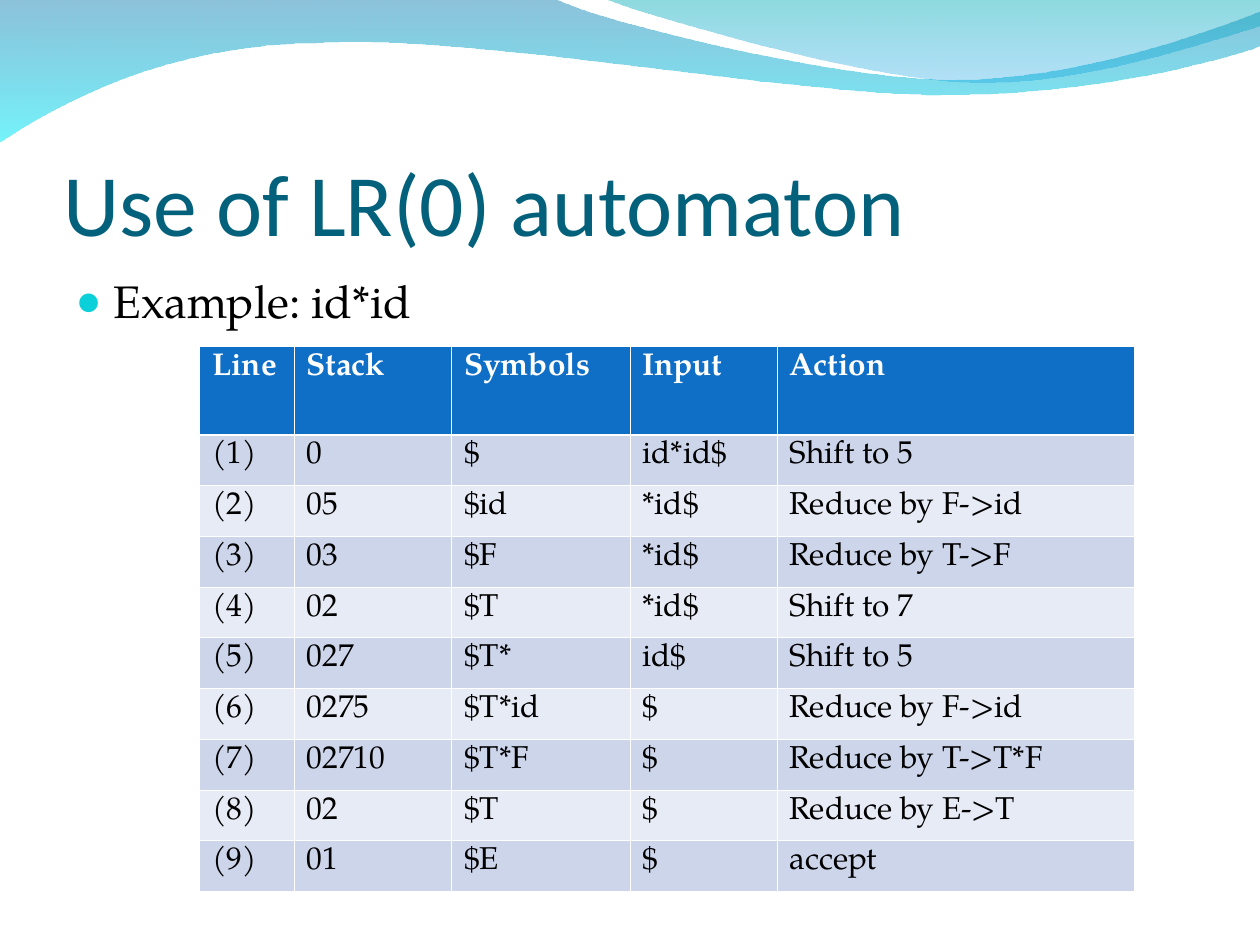
from dataclasses import dataclass
from typing import Any

import pptx
import pptx.dml.color
import pptx.enum.text
import pptx.oxml
import pptx.oxml.ns
import pptx.util

Inches, Pt = pptx.util.Inches, pptx.util.Pt
RGBColor = pptx.dml.color.RGBColor

WHITE = RGBColor(0xFF, 0xFF, 0xFF)
BLACK = RGBColor(0, 0, 0)
TITLE_TEAL = RGBColor(0x04, 0x61, 0x7B)
HEADER_BLUE = RGBColor(0x0F, 0x6F, 0xC6)
BAND_FILLS = (RGBColor(0xCC, 0xD5, 0xEA), RGBColor(0xE7, 0xEB, 0xF5))
BULLET_CYAN = RGBColor(0x0B, 0xD0, 0xD9)
WAVE_BLUE = RGBColor(0x00, 0x79, 0xAF)
WAVE_CYAN = RGBColor(0x00, 0xEB, 0xF8)
CREST_TEAL = RGBColor(0x00, 0xAD, 0xB6)
CREST_BLUE = RGBColor(0x00, 0x9B, 0xE5)

HEADING_FONT, BODY_FONT = "Calibri", "TeX Gyre Pagella"
SLIDE_WIDTH, SLIDE_HEIGHT = Inches(10), Inches(7.5)
GRID = Inches(1) / 12
UNITS_PER_INCH = 100
THIN_LINE, HEADER_LINE = Pt(0.45), Pt(1.47)

TABLE_LEFT, TABLE_TOP = 19, 33
COLUMN_SPANS = (9, 15, 17, 14, 34)
HEADER_HEIGHT, ROW_HEIGHT = Inches(0.7), Pt(29)
HEADINGS = ("Line", "Stack", "Symbols", "Input", "Action")
MOVES = (
    ("0", "$", "id*id$", "Shift to 5"),
    ("05", "$id", "*id$", "Reduce by F->id"),
    ("03", "$F", "*id$", "Reduce by T->F"),
    ("02", "$T", "*id$", "Shift to 7"),
    ("027", "$T*", "id$", "Shift to 5"),
    ("0275", "$T*id", "$", "Reduce by F->id"),
    ("02710", "$T*F", "$", "Reduce by T->T*F"),
    ("02", "$T", "$", "Reduce by E->T"),
    ("01", "$E", "$", "accept"),
)


@dataclass(frozen=True)
class Stop:
    """One end of a gradient, with its opacity in percent."""
    color: RGBColor
    opacity: int


@dataclass(frozen=True)
class Wave:
    """A closed outline in inches: two numbers are a line, six a cubic curve."""
    start: tuple[float, float]
    segments: tuple[tuple[float, ...], ...]
    stops: tuple[Stop, Stop]


WAVES = (
    Wave((0, -0.01), (
        (4.4, -0.01),
        (4.76, 0.17, 6.64, 0.63, 7.58, 0.63),
        (8.53, 0.63, 9.58, 0.26, 10, 0.09),
        (10.01, 0.36),
        (9.83, 0.44, 8.7, 0.76, 7.46, 0.75),
        (6.22, 0.75, 3.82, 0.28, 2.57, 0.34),
        (1.29, 0.35, 0.46, 0.83, -0.01, 1.13),
    ), (Stop(WAVE_BLUE, 45), Stop(WAVE_CYAN, 55))),
    Wave((4.79, -0.01), (
        (5.09, 0.11, 6.82, 0.62, 7.69, 0.65),
        (8.56, 0.69, 9.61, 0.32, 10, 0.21),
        (10, 0),
    ), (Stop(CREST_TEAL, 45), Stop(CREST_BLUE, 30))),
)


def apply_format(target: Any, values: dict[str, Any]) -> None:
    """Set every named attribute on the target."""
    for name, value in values.items():
        setattr(target, name, value)


def write_text(paragraph: Any, text: str, font: str, size: float,
               color: RGBColor, bold: bool = False) -> None:
    """Add one formatted run to a paragraph."""
    run = paragraph.add_run()
    run.text = text
    apply_format(run.font, {"name": font, "size": Pt(size), "bold": bold})
    run.font.color.rgb = color


def bend_lines(shape: Any, wave: Wave) -> None:
    """Join the lines through each curve's control points into one curve."""
    qn = pptx.oxml.ns.qn
    lines = iter(shape.element.spPr.findall(".//" + qn("a:lnTo")))
    for segment in wave.segments:
        line = next(lines)
        if len(segment) == 2:
            continue
        curve = pptx.oxml.parse_xml(f'<a:cubicBezTo {pptx.oxml.ns.nsdecls("a")}/>')
        line.addprevious(curve)
        for control in (line, next(lines), next(lines)):
            curve.append(control.find(qn("a:pt")))
            control.getparent().remove(control)


def draw_wave(slide: Any, wave: Wave, depth: int) -> None:
    """Draw a see-through gradient wave behind the text."""
    numbers = [round(number * UNITS_PER_INCH)
               for part in (wave.start, *wave.segments) for number in part]
    points = list(zip(numbers[::2], numbers[1::2]))
    builder = slide.shapes.build_freeform(*points[0], scale=Inches(1) / UNITS_PER_INCH)
    builder.add_line_segments(points[1:], close=True)
    shape = builder.convert_to_shape()
    bend_lines(shape, wave)
    shape.shadow.inherit = False
    shape.line.fill.background()
    shape.fill.gradient()
    shape.fill.gradient_angle = 270
    for gradient_stop, stop, position in zip(shape.fill.gradient_stops, wave.stops, (0, 1)):
        gradient_stop.color.rgb = stop.color
        gradient_stop.position = position
    colors = shape.element.spPr.findall(".//" + pptx.oxml.ns.qn("a:srgbClr"))
    for color, stop in zip(colors, wave.stops):
        color.append(pptx.oxml.parse_xml(
            f'<a:alpha {pptx.oxml.ns.nsdecls("a")} val="{stop.opacity * 1000}"/>'))
    slide.shapes.element.insert(2 + depth, shape.element)


def fill_title(title: Any) -> None:
    """Place and write the slide title."""
    apply_format(title, {"left": Inches(0.5), "top": Inches(0.77),
                         "width": int(SLIDE_WIDTH * 0.9), "height": Inches(1.25)})
    apply_format(title.text_frame, {
        "margin_left": 0, "margin_right": 0, "margin_top": Inches(0.05), "margin_bottom": 0,
        "vertical_anchor": pptx.enum.text.MSO_ANCHOR.BOTTOM, "word_wrap": True,
        "auto_size": pptx.enum.text.MSO_AUTO_SIZE.NONE})
    paragraph = title.text_frame.paragraphs[0]
    paragraph.alignment = pptx.enum.text.PP_ALIGN.LEFT
    write_text(paragraph, "Use of LR(0) automaton", HEADING_FONT, 50, TITLE_TEAL)


def fill_body(body: Any) -> None:
    """Place the list and write its bulleted line."""
    apply_format(body, {"left": Inches(0.5), "top": Inches(2.12),
                        "width": int(SLIDE_WIDTH * 0.9), "height": int(SLIDE_HEIGHT * 0.64)})
    body.text_frame.auto_size = pptx.enum.text.MSO_AUTO_SIZE.NONE
    paragraph = body.text_frame.paragraphs[0]
    paragraph.space_before = Pt(6.5)
    write_text(paragraph, "Example: id*id", BODY_FONT, 26, BLACK)
    properties = paragraph._p.get_or_add_pPr()
    properties.set("marL", str(Inches(0.3)))
    properties.set("indent", str(-Inches(0.3)))
    for bullet in (f'buClr {{}}><a:srgbClr val="{BULLET_CYAN}"/></a:buClr>',
                   'buSzPct {} val="95000"/>', 'buChar {} char="●"/>'):
        properties.append(pptx.oxml.parse_xml(
            "<a:" + bullet.format(pptx.oxml.ns.nsdecls("a"))))


def set_borders(cell: Any, row: int) -> None:
    """Give a cell white borders, heavier between header and body."""
    widths = {"lnL": THIN_LINE, "lnR": THIN_LINE,
              "lnT": HEADER_LINE if row == 1 else THIN_LINE,
              "lnB": HEADER_LINE if row == 0 else THIN_LINE}
    for position, (side, width) in enumerate(widths.items()):
        cell._tc.get_or_add_tcPr().insert(position, pptx.oxml.parse_xml(
            f'<a:{side} {pptx.oxml.ns.nsdecls("a")} w="{int(width)}"><a:solidFill>'
            f'<a:srgbClr val="{WHITE}"/></a:solidFill></a:{side}>'))


def draw_moves(slide: Any) -> None:
    """Draw the table of parser moves, numbering its lines."""
    rows = [HEADINGS] + [(f"({number})", *move) for number, move in enumerate(MOVES, 1)]
    table = slide.shapes.add_table(
        len(rows), len(HEADINGS), int(TABLE_LEFT * GRID), int(TABLE_TOP * GRID),
        int(sum(COLUMN_SPANS) * GRID), HEADER_HEIGHT + ROW_HEIGHT * len(MOVES)).table
    for column, span in zip(table.columns, COLUMN_SPANS):
        column.width = int(span * GRID)
    for row, texts in enumerate(rows):
        header = row == 0
        table.rows[row].height = HEADER_HEIGHT if header else ROW_HEIGHT
        for column, text in enumerate(texts):
            cell = table.cell(row, column)
            cell.fill.solid()
            cell.fill.fore_color.rgb = HEADER_BLUE if header else BAND_FILLS[(row - 1) % 2]
            set_borders(cell, row)
            write_text(cell.text_frame.paragraphs[0], text, BODY_FONT, 18,
                       WHITE if header else BLACK, header)


presentation = pptx.Presentation()
apply_format(presentation, {"slide_width": SLIDE_WIDTH, "slide_height": SLIDE_HEIGHT})
slide = presentation.slides.add_slide(presentation.slide_layouts[1])
for depth, wave in enumerate(WAVES):
    draw_wave(slide, wave, depth)
fill_title(slide.shapes.title)
fill_body(slide.placeholders[1])
draw_moves(slide)
presentation.save("out.pptx")
